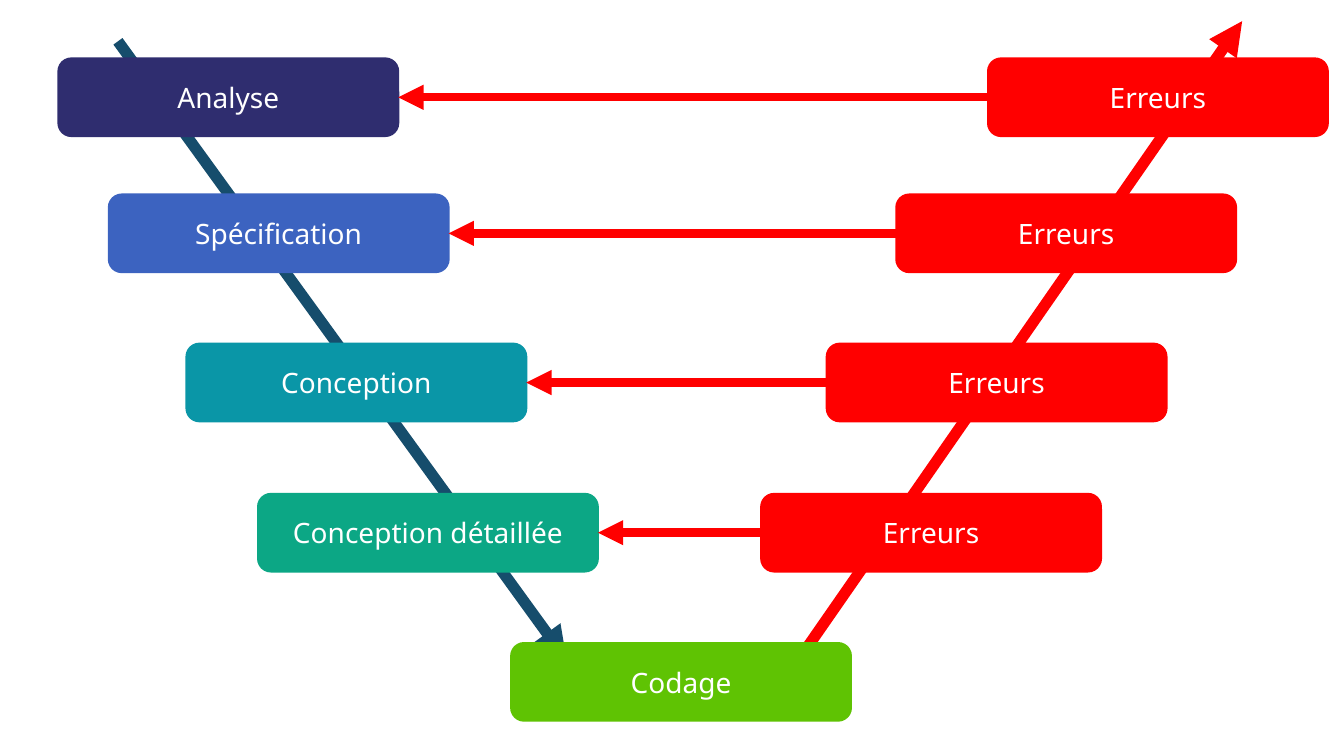
from lxml import etree
from pptx import Presentation
from pptx.dml.color import RGBColor
from pptx.enum import shapes, text
from pptx.oxml import ns
from pptx.util import Inches, Pt

COLORS = {
    "analysis": "2F2D6F",
    "specification": "3C63C0",
    "design": "0A96A7",
    "detail": "0CA785",
    "coding": "5FC303",
    "error": "FF0000",
    "descent": "164D6C",
    "text": "FFFFFF",
}
BOX_WIDTH, BOX_HEIGHT = 3.37, 0.77
LEFT_SIDE, RIGHT_SIDE = 1, 3

# label, colour, left of the phase, left of its errors box, top
PHASES = [
    ("Analyse", "analysis", 0.58, 9.8, 0.58),
    ("Spécification", "specification", 1.08, 8.89, 1.93),
    ("Conception", "design", 1.85, 8.2, 3.41),
    ("Conception détaillée", "detail", 2.56, 7.55, 4.9),
]

presentation = Presentation()
presentation.slide_width = Inches(13.33)
presentation.slide_height = Inches(7.5)
slide = presentation.slides.add_slide(presentation.slide_layouts[6])


def add_arrow(start, end, color, width):
    """Draw a straight line with a triangle at its end."""
    arrow = slide.shapes.add_connector(
        shapes.MSO_CONNECTOR.STRAIGHT, *[Inches(value) for value in (*start, *end)])
    arrow.line.color.rgb = RGBColor.from_string(COLORS[color])
    arrow.line.width = Pt(width)
    etree.SubElement(arrow.line._get_or_add_ln(), ns.qn("a:tailEnd"), type="triangle")
    etree.SubElement(arrow._element.spPr, ns.qn("a:effectLst"))
    return arrow


def add_box(label, color, left, top):
    box = slide.shapes.add_shape(
        shapes.MSO_SHAPE.ROUNDED_RECTANGLE,
        Inches(left), Inches(top), Inches(BOX_WIDTH), Inches(BOX_HEIGHT))
    box.shadow.inherit = False
    box.fill.solid()
    box.fill.fore_color.rgb = RGBColor.from_string(COLORS[color])
    box.line.color.rgb = RGBColor.from_string(COLORS[color])
    box.line.width = Pt(1.5)
    box.text_frame.text = label
    box.text_frame.vertical_anchor = text.MSO_ANCHOR.MIDDLE
    paragraph = box.text_frame.paragraphs[0]
    paragraph.alignment = text.PP_ALIGN.CENTER
    font = paragraph.runs[0].font
    font.name = "Noto Sans"
    font.size = Pt(20)
    font.color.rgb = RGBColor.from_string(COLORS["text"])
    return box


# The two branches of the V lie behind the boxes
add_arrow((1.17, 0.41), (5.62, 6.55), "descent", 8)
add_arrow((7.98, 6.46), (12.32, 0.21), "error", 8)

add_box("Codage", "coding", 5.07, 6.38)

for label, color, phase_left, error_left, top in PHASES:
    phase = add_box(label, color, phase_left, top)
    errors = add_box("Erreurs", "error", error_left, top)
    middle = top + BOX_HEIGHT / 2
    feedback = add_arrow((error_left, middle), (phase_left + BOX_WIDTH, middle), "error", 6)
    feedback.begin_connect(errors, LEFT_SIDE)
    feedback.end_connect(phase, RIGHT_SIDE)

presentation.save("out.pptx")
